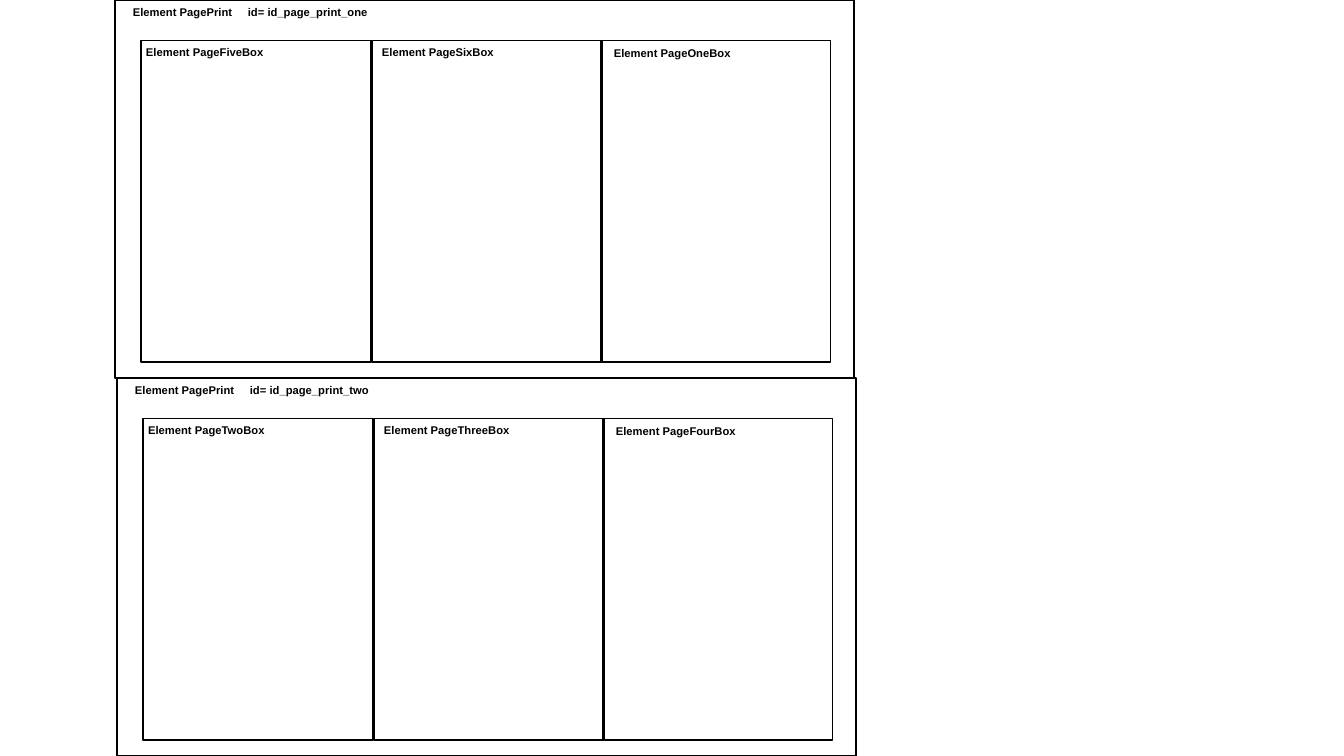
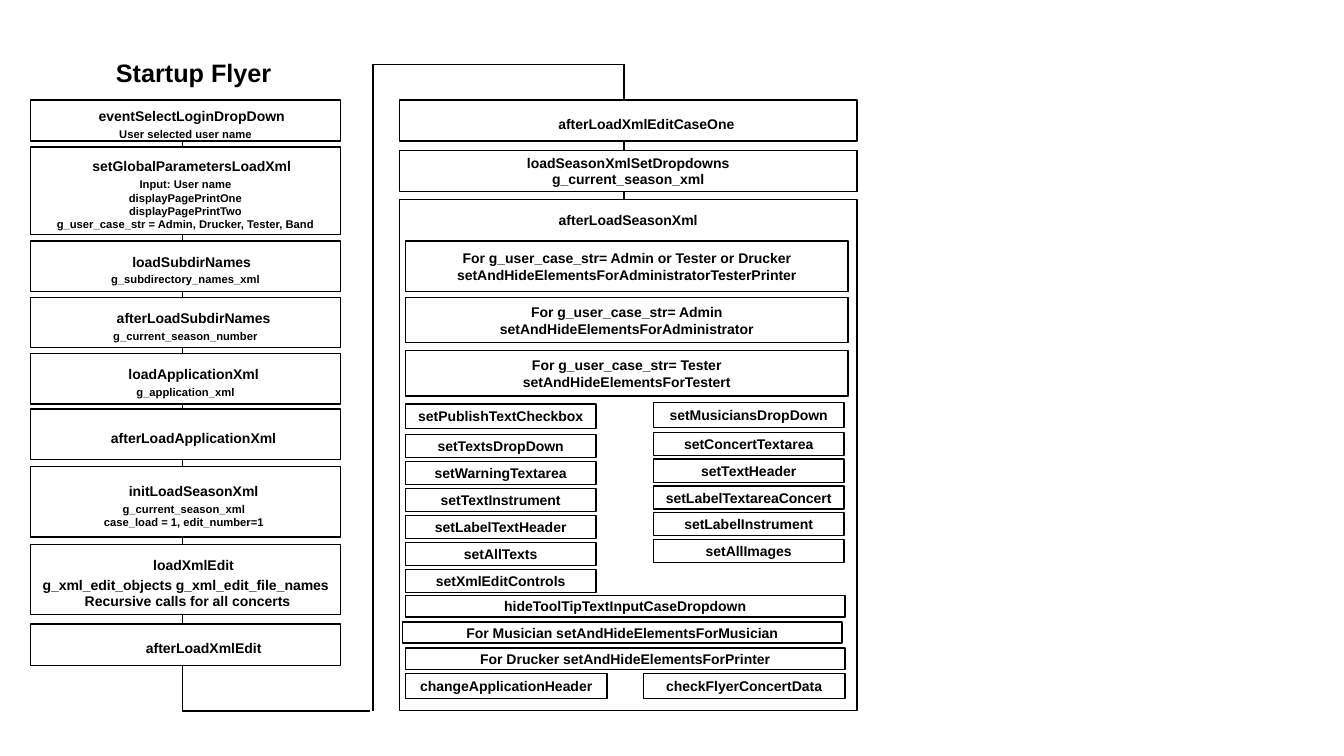
from lxml.etree import SubElement
from pptx import Presentation
from pptx.dml.color import RGBColor
from pptx.enum.shapes import MSO_CONNECTOR, MSO_SHAPE
from pptx.enum.text import MSO_ANCHOR, MSO_AUTO_SIZE, PP_ALIGN
from pptx.oxml.ns import qn
from pptx.util import Inches, Pt

BLACK = RGBColor(0, 0, 0)
WHITE = RGBColor(255, 255, 255)
FONT = "Arial"
SMALL, NORMAL, LARGE = 8, 10, 18
STEP = 0.12

PAGES = [
    (1.14, 0, "id= id_page_print_one",
     ["Element PageFiveBox", "Element PageSixBox", "Element PageOneBox"]),
    (1.16, 3.75, "id= id_page_print_two",
     ["Element PageTwoBox", "Element PageThreeBox", "Element PageFourBox"]),
]
PANELS = [(0.26, 0.21, 0.4), (2.55, 2.55, 0.4), (4.82, 4.85, 0.41)]

TITLE = "Startup Flyer"
STEPS = [
    (0.41, 0.06, STEP, SMALL, ["eventSelectLoginDropDown", "User selected user name"]),
    (0.87, 0.06, STEP, SMALL, [
        "setGlobalParametersLoadXml", "Input: User name", "displayPagePrintOne",
        "displayPagePrintTwo", "g_user_case_str = Admin, Drucker, Tester, Band"]),
    (0.5, 0.06, STEP, SMALL, ["loadSubdirNames", "g_subdirectory_names_xml"]),
    (0.5, 0.06, STEP, SMALL, [" afterLoadSubdirNames", "g_current_season_number"]),
    (0.5, 0.05, STEP, SMALL, [" loadApplicationXml", "g_application_xml"]),
    (0.5, 0.07, STEP, SMALL, [" afterLoadApplicationXml"]),
    (0.7, 0.07, STEP, SMALL, [
        " initLoadSeasonXml", "g_current_season_xml ", "case_load = 1, edit_number=1 "]),
    (0.7, 0.09, STEP, NORMAL, [
        " loadXmlEdit", "g_xml_edit_objects g_xml_edit_file_names",
        " Recursive calls for all concerts"]),
    (0.41, 0, 3 * STEP, SMALL, ["afterLoadXmlEdit"]),
]
LOADS = [
    (0.41, 0.09, 3 * STEP, NORMAL, ["afterLoadXmlEditCaseOne"]),
    (0.41, 0.08, 0, NORMAL, ["loadSeasonXmlSetDropdowns", "g_current_season_xml"]),
    (5.07, 0, 0, NORMAL, ["afterLoadSeasonXml"]),
]
CASES = [
    (0.5, 0.06, 0, NORMAL, [
        "For g_user_case_str= Admin or Tester or Drucker",
        "setAndHideElementsForAdministratorTesterPrinter"]),
    (0.45, 0.08, 0, NORMAL, [
        "For g_user_case_str= Admin", "setAndHideElementsForAdministrator"]),
    (0.45, 0, 0, NORMAL, [
        "For g_user_case_str= Tester", "setAndHideElementsForTestert"]),
]
SETTERS = [
    (4.02, 4.01, 0.24, 4.31, 5.65, [
        "setPublishTextCheckbox", "setTextsDropDown", "setWarningTextarea",
        "setTextInstrument", "setLabelTextHeader", "setAllTexts",
        "setXmlEditControls"]),
    (6.48, 3.99, 0.25, 4.29, 5.35, [
        "setMusiciansDropDown", "setConcertTextarea", "setTextHeader",
        "setLabelTextareaConcert", "setLabelInstrument", "setAllImages"]),
]
BARS = [
    (4.02, "hideToolTipTextInputCaseDropdown"),
    (3.99, "For Musician setAndHideElementsForMusician"),
    (4.02, "For Drucker setAndHideElementsForPrinter"),
]
CHECKS = [(4.02, "changeApplicationHeader"), (6.38, "checkFlyerConcertData")]
LINES = [
    (6.19, 6.82, 6.19, 0.64), (1.81, 7.05, 1.81, 1.27),
    (3.7, 7.05, 3.7, 0.64), (1.81, 7.05, 3.67, 7.05), (3.7, 0.64, 6.19, 0.64),
]


def write(par, text, size):
    run = par.add_run()
    run.text = text
    font = run.font
    font.name, font.size, font.bold = FONT, Pt(size), True
    font.color.rgb = BLACK


def add_box(slide, left, top, width, height, filled=True):
    box = slide.shapes.add_shape(
        MSO_SHAPE.RECTANGLE, Inches(left), Inches(top), Inches(width), Inches(height))
    box.shadow.inherit = False
    if filled:
        box.fill.solid()
        box.fill.fore_color.rgb = WHITE
    else:
        box.fill.background()
    box.line.color.rgb = BLACK
    box.line.width = Pt(1)
    return box


def fill_box(box, lines, size=NORMAL, indent=0):
    frame = box.text_frame
    frame.word_wrap = True
    frame.margin_left = frame.margin_right = Inches(0.05)
    frame.vertical_anchor = MSO_ANCHOR.MIDDLE
    for i, text in enumerate(lines):
        par = frame.add_paragraph() if i else frame.paragraphs[0]
        par.alignment = PP_ALIGN.CENTER
        if indent and i == 0:
            par.line_spacing = Pt(17)
            par.space_after = Pt(2)
            par._p.get_or_add_pPr().set("marL", str(Inches(indent)))
        write(par, text, size if i else NORMAL)


def add_stack(slide, left, top, width, items):
    for height, gap, indent, size, lines in items:
        box = add_box(slide, left, top, width, height)
        fill_box(box, lines, size, indent)
        top += height + gap
    return box


def add_label(slide, left, top, width, text):
    label = slide.shapes.add_textbox(
        Inches(left), Inches(top), Inches(width), Inches(0.24))
    label.text_frame.word_wrap = True
    par = label.text_frame.paragraphs[0]
    write(par, text, SMALL)
    return par


def add_line(slide, *ends):
    line = slide.shapes.add_connector(
        MSO_CONNECTOR.STRAIGHT, *[Inches(end) for end in ends])
    line.line.color.rgb = BLACK
    line.line.width = Pt(1.25)
    SubElement(line._element.spPr, qn("a:effectLst"))


def draw_pages(deck):
    slide = deck.slides.add_slide(deck.slide_layouts[6])
    for left, top, name, parts in PAGES:
        add_box(slide, left, top, 7.33, 3.75, False)
        par = add_label(slide, left + 0.08, top, 3.44, "Element PagePrint\t" + name)
        tabs = SubElement(par._p.get_or_add_pPr(), qn("a:tabLst"))
        SubElement(tabs, qn("a:tab"), pos=str(Inches(1.14)), algn="l")
        for (edge, inset, drop), part in zip(PANELS, parts):
            add_box(slide, left + edge, top + 0.4, 2.28, 3.19, False)
            add_label(slide, left + inset, top + drop, 1.6, part)


def draw_flow(deck):
    slide = deck.slides.add_slide(deck.slide_layouts[5])
    title = slide.shapes.title
    title.left, title.top = Inches(1.05), Inches(0.52)
    title.width, title.height = Inches(1.87), Inches(0.4)
    frame = title.text_frame
    frame.auto_size = MSO_AUTO_SIZE.NONE
    frame.vertical_anchor = MSO_ANCHOR.TOP
    frame.paragraphs[0].alignment = PP_ALIGN.LEFT
    write(frame.paragraphs[0], TITLE, LARGE)

    for ends in LINES:
        add_line(slide, *ends)
    add_stack(slide, 0.3, 0.99, 3.08, STEPS)
    season = add_stack(slide, 3.96, 0.99, 4.54, LOADS).text_frame
    season.vertical_anchor = MSO_ANCHOR.TOP
    season.margin_top = Inches(0.12)
    add_stack(slide, 4.02, 2.39, 4.39, CASES)

    for left, head, height, first, last, names in SETTERS:
        fill_box(add_box(slide, left, head, 1.89, height), names[:1])
        pitch = (last - first) / (len(names) - 2)
        for i, name in enumerate(names[1:]):
            fill_box(add_box(slide, left, first + i * pitch, 1.89, 0.23), [name])
    for i, (left, text) in enumerate(BARS):
        fill_box(add_box(slide, left, 5.91 + i * 0.26, 4.36, 0.21), [text])
    for left, text in CHECKS:
        fill_box(add_box(slide, left, 6.68, 2, 0.25), [text])


def main():
    deck = Presentation()
    deck.slide_width, deck.slide_height = Inches(13.33), Inches(7.5)
    draw_pages(deck)
    draw_flow(deck)
    deck.save("out.pptx")


if __name__ == "__main__":
    main()
